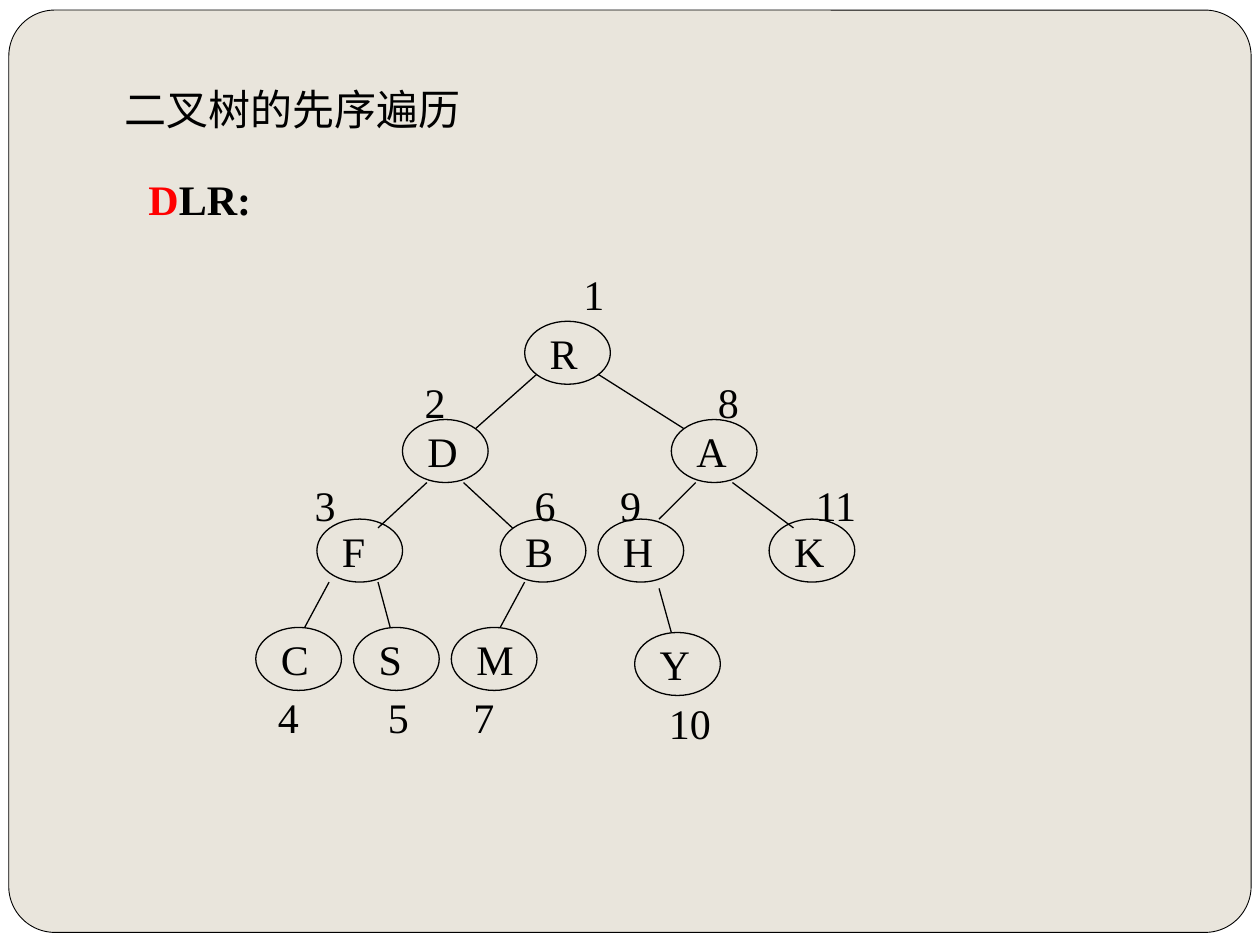
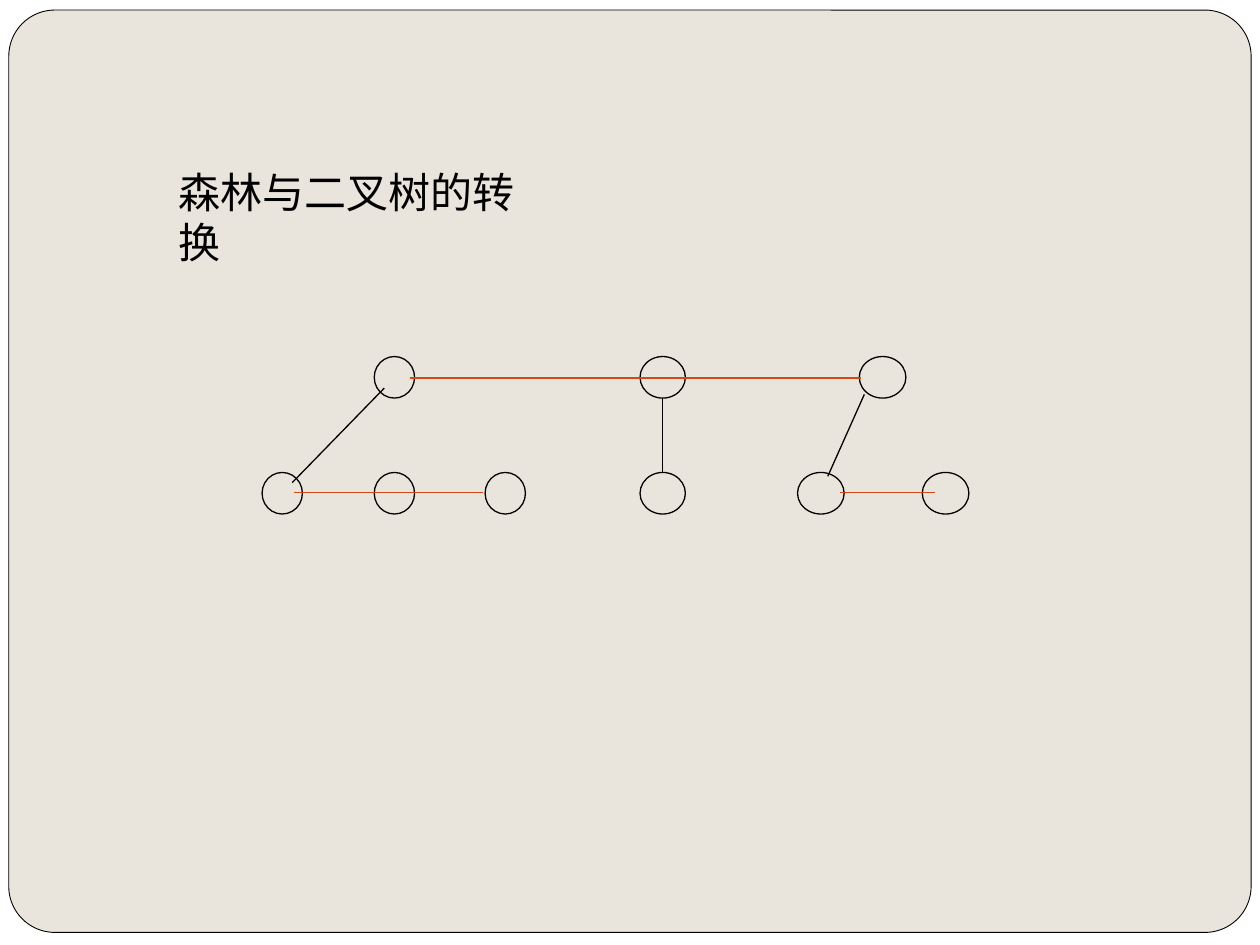
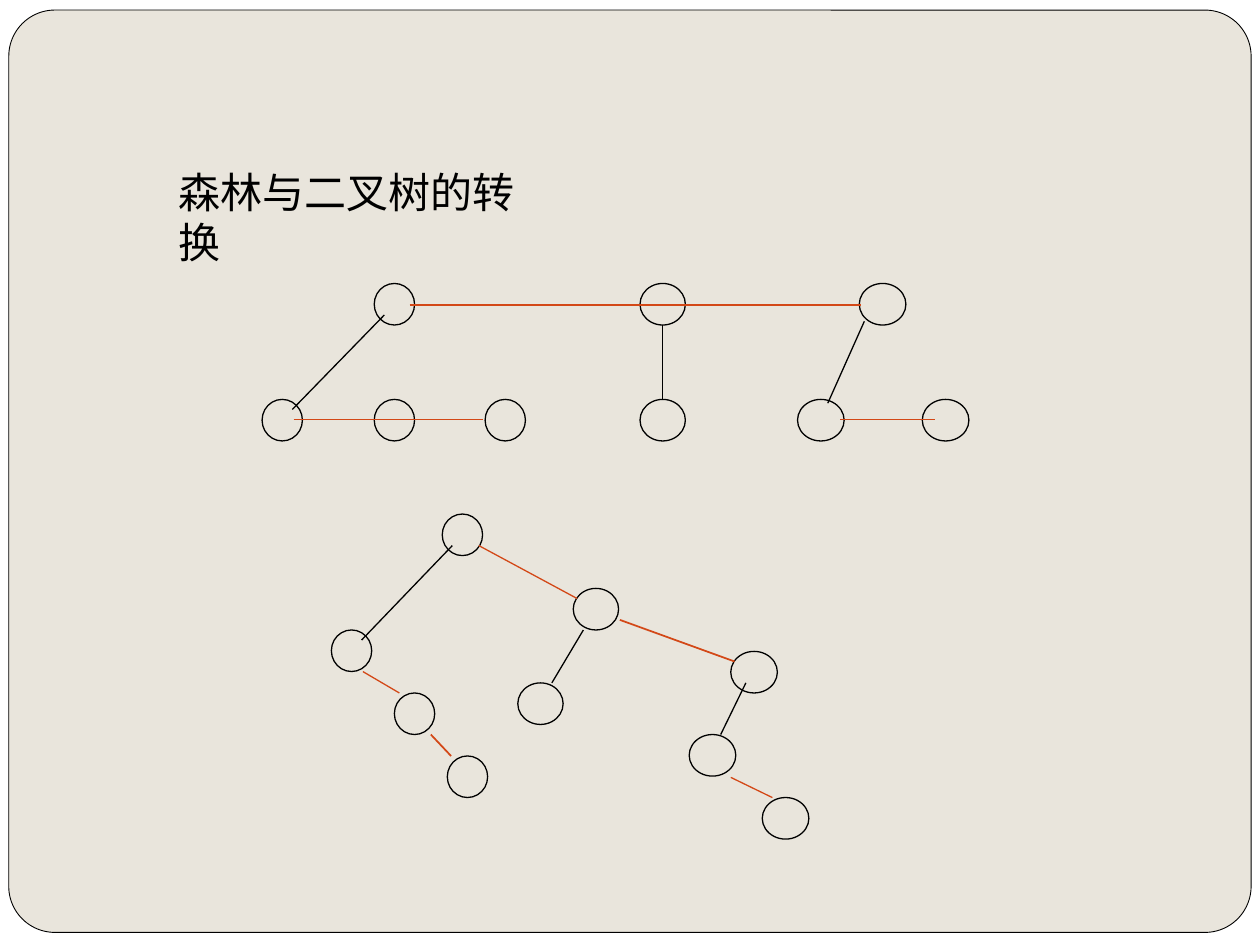
from dataclasses import dataclass

from lxml.etree import SubElement
from pptx import Presentation
from pptx.dml.color import RGBColor as RGB
from pptx.enum.shapes import MSO_CONNECTOR as CONNECTOR, MSO_SHAPE as SHAPE
from pptx.enum.text import MSO_ANCHOR as ANCHOR, MSO_AUTO_SIZE as AUTO_SIZE, PP_ALIGN as ALIGN
from pptx.oxml.ns import qn
from pptx.util import Inches, Pt


@dataclass(frozen=True)
class Theme:
    paper: RGB = RGB(0xE9, 0xE5, 0xDC)
    white: RGB = RGB(0xFF, 0xFF, 0xFF)
    ink: RGB = RGB(0, 0, 0)
    red: RGB = RGB(0xFF, 0, 0)
    sibling: RGB = RGB(0xD3, 0x48, 0x17)
    font: str = "Times New Roman"
    text_size: float = 24
    frame_line: float = 0.5
    thin: float = 0.75
    thick: float = 1


THEME = Theme()
TITLE_ONLY = 5
TEXT_HEIGHT = 0.5
INSET = 0.1

# Letter widths at the text size, in inches; digits take the default
LETTER_WIDTHS = {**dict.fromkeys("ADHKY", 0.24), **dict.fromkeys("RBC", 0.22),
                 **dict.fromkeys("FS", 0.19), **dict.fromkeys("LM", 0.3)}
DIGIT_WIDTH = 0.165

# Traversal tree: node top, number top, then (letter, column, visit number, number shift)
COLUMN = 0.97 / 10
NODE_SIZE = (0.68, 0.5)
TREE_ROWS = [
    (0.47, 0, [("R", 22, 1, 4)]),
    (1.25, 0.86, [("D", 12, 2, 1), ("A", 34, 8, 3)]),
    (2.04, 1.68, [("F", 5, 3, -1), ("B", 20, 6, 2), ("H", 28, 9, 1), ("K", 42, 11, 3)]),
    (2.9, 3.36, [("C", 0, 4, 1), ("S", 8, 5, 2), ("M", 16, 7, 1)]),
    (2.94, 3.41, [("Y", 31, 10, 2)]),
]
# Branches: start top, end top, then (start column, end column)
TREE_BRANCHES = [
    (0.89, 1.32, [(23, 18), (28, 35)]),
    (1.75, 2.11, [(14, 10), (17, 21), (39, 44)]),
    (1.75, 2.04, [(36, 33)]),
    (2.54, 2.9, [(6, 4), (10, 11), (22, 20)]),
    (2.59, 2.94, [(33, 34)]),
]

# Line kinds of the conversion diagrams
LINKS = {"child": (THEME.ink, THEME.thin),
         "sibling": (THEME.sibling, THEME.thin),
         "strong sibling": (THEME.sibling, THEME.thick)}
CIRCLE_HEIGHT = 0.33

# Circles by width, links by kind, all relative to the diagram's corner
FOREST = {
    "circles": {0.32: [(0.89, 0), (0, 0.92), (0.89, 0.92), (1.77, 0.92)],
                0.36: [(3, 0), (3, 0.92)],
                0.37: [(4.74, 0), (4.25, 0.92), (5.24, 0.92)]},
    "links": {"child": [(0.97, 0.25, 0.24, 1), (3.18, 0.33, 3.18, 0.92),
                        (4.78, 0.3, 4.49, 0.95)],
              "sibling": [(1.17, 0.17, 4.75, 0.17), (0.25, 1.08, 1.75, 1.08),
                          (4.59, 1.08, 5.34, 1.08)]},
}
BINARY_TREE = {
    "circles": {0.32: [(0.88, 0), (0, 0.92), (0.5, 1.42), (0.92, 1.92)],
                0.36: [(1.92, 0.59), (1.48, 1.34)],
                0.37: [(3.17, 1.09), (2.84, 1.75), (3.42, 2.25)]},
    "links": {"child": [(0.96, 0.25, 0.24, 1), (2, 0.92, 1.75, 1.34),
                        (3.29, 1.34, 3.09, 1.75)],
              "sibling": [(1.17, 0.25, 1.95, 0.67), (0.25, 1.25, 0.54, 1.42),
                          (3.17, 2.09, 3.5, 2.25)],
              "strong sibling": [(2.29, 0.84, 3.2, 1.17), (0.79, 1.75, 0.95, 1.92)]},
}


def apply(target, formats):
    for name, value in formats.items():
        setattr(target, name, value)


# Basic parts
def add_figure(slide, preset, box, fill=None, line=None, weight=THEME.thin):
    figure = slide.shapes.add_shape(preset, *map(Inches, box))
    figure.shadow.inherit = False
    if fill is None:
        figure.fill.background()
    else:
        figure.fill.solid()
        figure.fill.fore_color.rgb = fill
    if line is None:
        figure.line.fill.background()
    else:
        figure.line.color.rgb = line
        figure.line.width = Pt(weight)
    return figure


def add_link(slide, start, end, color=THEME.ink, weight=THEME.thin):
    link = slide.shapes.add_connector(CONNECTOR.STRAIGHT, *map(Inches, (*start, *end)))
    link.line.color.rgb = color
    link.line.width = Pt(weight)
    SubElement(link.element.spPr, qn("a:effectLst"))


def write(frame, runs, wrap=False, bold=False):
    apply(frame, {"word_wrap": wrap, "auto_size": AUTO_SIZE.SHAPE_TO_FIT_TEXT,
                  "vertical_anchor": ANCHOR.TOP})
    paragraph = frame.paragraphs[0]
    paragraph.alignment = ALIGN.LEFT
    for text, color in runs:
        run = paragraph.add_run()
        run.text = text
        apply(run.font, {"name": THEME.font, "size": Pt(THEME.text_size), "bold": bold})
        run.font.color.rgb = color


def add_label(slide, left, top, text):
    width = 2 * INSET + sum(LETTER_WIDTHS.get(letter, DIGIT_WIDTH) for letter in text)
    label = slide.shapes.add_textbox(*map(Inches, (left, top, width, TEXT_HEIGHT)))
    write(label.text_frame, [(text, THEME.ink)])


# Shared frame on the master
def decorate_master(deck):
    master = deck.slide_master
    master.background.fill.solid()
    master.background.fill.fore_color.rgb = THEME.paper
    slide = deck.slides[0]
    backdrop = add_figure(slide, SHAPE.RECTANGLE, (0, 0, 10, 7.5), THEME.white)
    card = add_figure(slide, SHAPE.ROUNDED_RECTANGLE, (0.07, 0.08, 9.86, 7.32),
                      THEME.paper, THEME.ink, THEME.frame_line)
    card.adjustments[0] = 0.05
    for order, part in enumerate((backdrop, card)):
        part.element.nvSpPr.cNvPr.set("id", str(100 + order))
        master.shapes.element.insert(2 + order, part.element)


def add_titled_slide(deck, title, left, top, width):
    slide = deck.slides.add_slide(deck.slide_layouts[TITLE_ONLY])
    heading = slide.shapes.title
    apply(heading, {"left": Inches(left), "top": Inches(top),
                    "width": Inches(width), "height": Inches(TEXT_HEIGHT)})
    write(heading.text_frame, [(title, THEME.ink)], wrap=True)
    return slide


# Diagrams
def draw_traversal_tree(slide, left, top):
    for node_top, number_top, nodes in TREE_ROWS:
        for letter, column, visit, shift in nodes:
            x = left + column * COLUMN
            add_figure(slide, SHAPE.OVAL, (x, top + node_top, *NODE_SIZE), line=THEME.ink)
            add_label(slide, x + INSET, top + node_top, letter)
            add_label(slide, x + shift * COLUMN - 0.02, top + number_top, str(visit))
    for start_top, end_top, branches in TREE_BRANCHES:
        for start, end in branches:
            add_link(slide, (left + start * COLUMN, top + start_top),
                     (left + end * COLUMN, top + end_top))


def draw_circles(slide, left, top, diagram):
    for width, corners in diagram["circles"].items():
        for x, y in corners:
            add_figure(slide, SHAPE.OVAL, (left + x, top + y, width, CIRCLE_HEIGHT),
                       line=THEME.ink)
    for kind, links in diagram["links"].items():
        for x1, y1, x2, y2 in links:
            add_link(slide, (left + x1, top + y1), (left + x2, top + y2), *LINKS[kind])


# Slides
def build_traversal(deck):
    slide = add_titled_slide(deck, "二叉树的先序遍历", 0.89, 0.61, 3)
    order = slide.shapes.add_textbox(*map(Inches, (1.08, 1.33, 1.02, TEXT_HEIGHT)))
    write(order.text_frame, [("D", THEME.red), ("LR:", THEME.ink)], bold=True)
    draw_traversal_tree(slide, 2.03, 2.08)


def build_conversion(deck, *diagrams):
    slide = add_titled_slide(deck, "森林与二叉树的转换", 1.32, 1.27, 3.15)
    for left, top, diagram in diagrams:
        draw_circles(slide, left, top, diagram)


def main():
    deck = Presentation()
    apply(deck, {"slide_width": Inches(10), "slide_height": Inches(7.5)})
    build_traversal(deck)
    build_conversion(deck, (2.08, 2.83, FOREST))
    build_conversion(deck, (2.08, 2.25, FOREST), (2.63, 4.08, BINARY_TREE))
    decorate_master(deck)
    deck.save("out.pptx")


if __name__ == "__main__":
    main()
